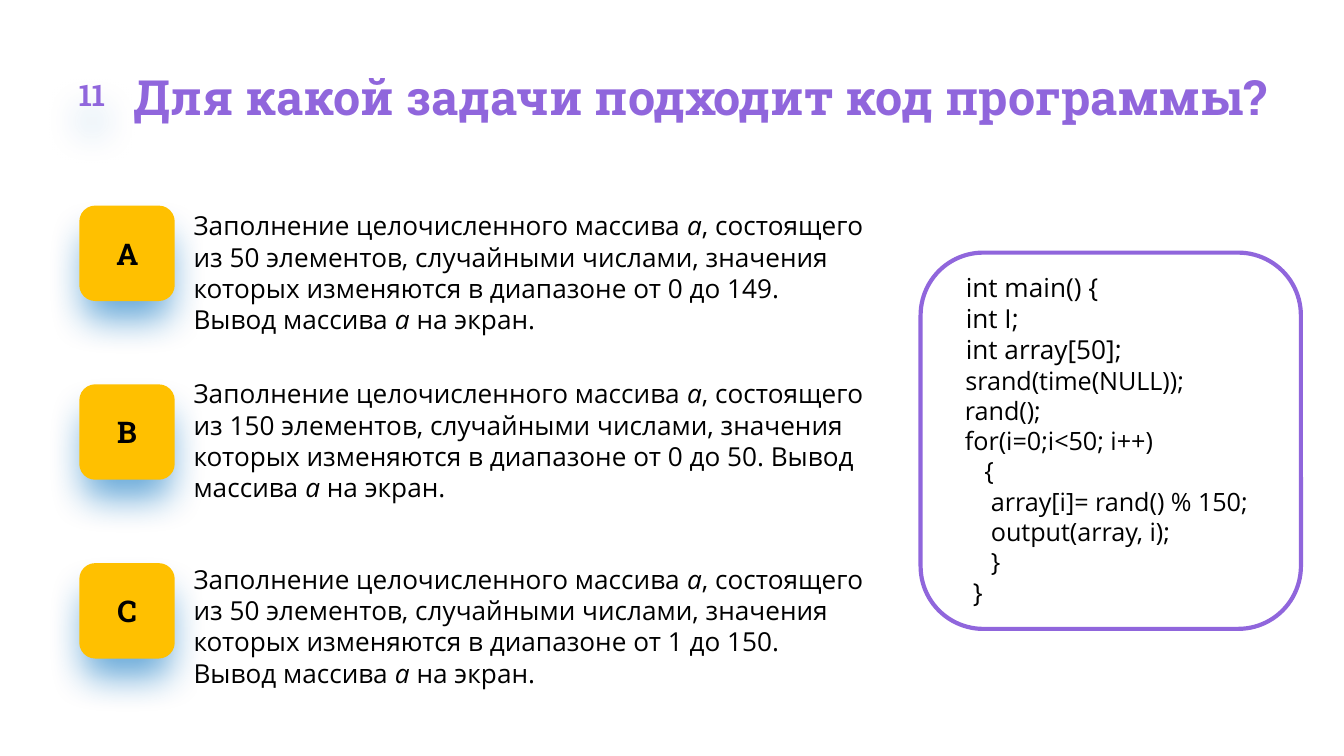
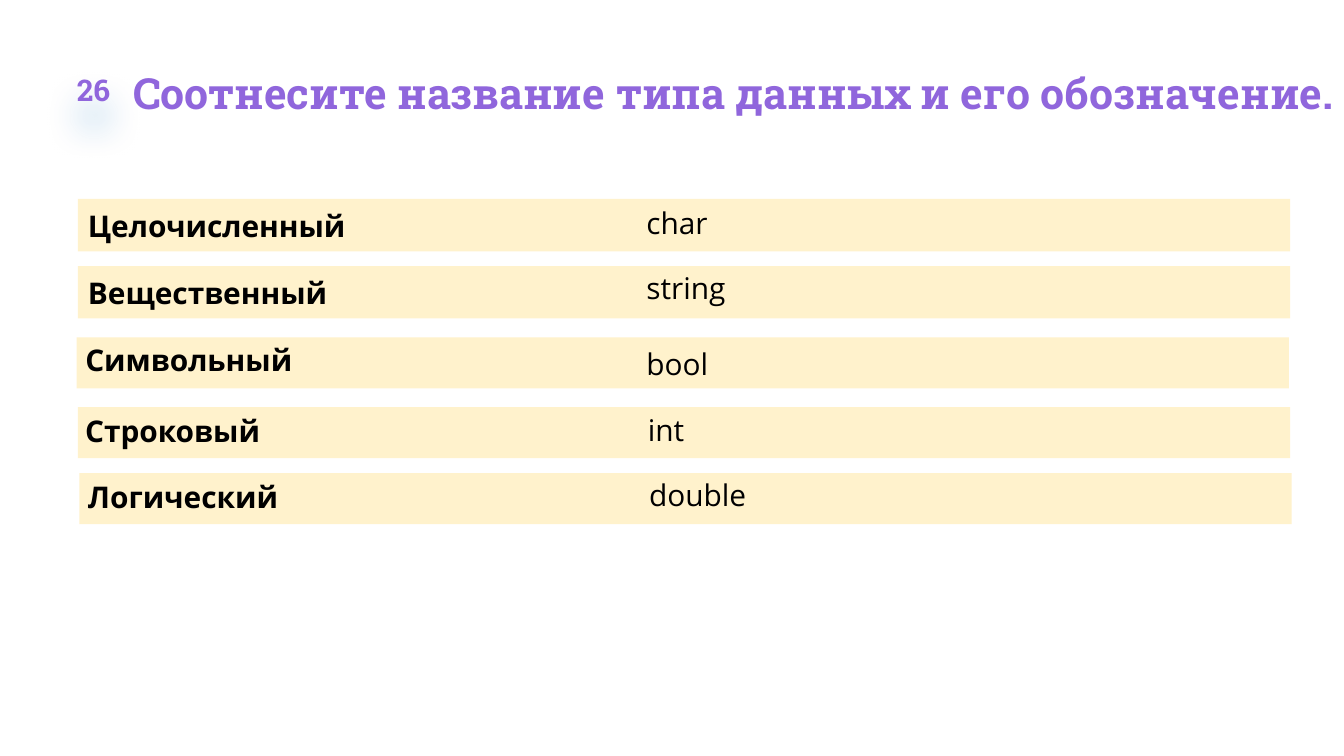
from lxml import etree
from pptx import Presentation
from pptx.dml.color import RGBColor
from pptx.enum.shapes import MSO_SHAPE as Shape
from pptx.enum.text import MSO_ANCHOR as Anchor, PP_ALIGN as Align
from pptx.oxml.ns import qn
from pptx.util import Inches, Pt

PURPLE, YELLOW, CREAM, BLACK = "9066DC", "FFC000", "FFF2CC", "000000"
SHADOW_BLUE = "0070C0"
HEADING_FONT, BODY_FONT = "Roboto Slab", "Open Sans"

ANSWERS = [
    # letter, badge top, text top, element count, range
    ("А", 1.53, 1.56, "50", "от 0 до 149"),
    ("B", 2.86, 2.81, "150", "от 0 до 50"),
    ("C", 4.19, 4.19, "50", "от 1 до 150"),
]

CODE_LINES = [
    # first-line indent, size, text
    (0.2, 14, "int main() {"),
    (0.2, 14, "int I;"),
    (0.2, 14, "int array[50];"),
    (0.1, 13.5, "  srand(time(NULL));"),
    (0, 13.5, "    rand();"),
    (0, 13.5, "    for(i=0;i<50; i++)"),
    (0, 13.5, "       {"),
    (0, 13.5, "        array[i]= rand() % 150;"),
    (0, 13.5, "        output(array, i);"),
    (0, 13.5, "        }"),
    (0, 14, "     }"),
]

TYPE_ROWS = [
    # bar (left, top, height), name (left, top, width, text), keyword (left, top, text)
    ((0.58, 1.48, 0.39), (0.64, 1.53, 3.39, "Целочисленный"), (4.67, 1.52, "char")),
    ((0.58, 1.98, 0.39), (0.64, 2.03, 3.39, "Вещественный"), (4.67, 2.01, "string")),
    ((0.57, 2.51, 0.38), (0.62, 2.53, 3.39, "Символьный"), (4.67, 2.57, "bool")),
    ((0.58, 3.03, 0.38), (0.62, 3.06, 2.66, "Строковый"), (4.68, 3.06, "int")),
    ((0.59, 3.52, 0.38), (0.64, 3.55, 2.66, "Логический"), (4.69, 3.55, "double")),
]


def color(value):
    return RGBColor.from_string(value)


def format_runs(paragraph, size, font=BODY_FONT, ink=BLACK, bold=False):
    for run in paragraph.runs:
        run.font.size = Pt(size)
        run.font.name = font
        run.font.color.rgb = color(ink)
        run.font.bold = bold


def prepare_frame(shape, left_inset=0, anchor=Anchor.TOP):
    frame = shape.text_frame
    frame.word_wrap = True
    frame.margin_left = Inches(left_inset)
    frame.margin_right = frame.margin_top = frame.margin_bottom = 0
    frame.vertical_anchor = anchor
    return frame


def add_box(slide, kind, left, top, width, height, fill=None, line=None):
    shape = slide.shapes.add_shape(
        kind, Inches(left), Inches(top), Inches(width), Inches(height))
    shape.shadow.inherit = False
    if fill:
        shape.fill.solid()
        shape.fill.fore_color.rgb = color(fill)
    else:
        shape.fill.background()
    if line:
        shape.line.color.rgb = color(line)
        shape.line.width = Pt(2.25)
    else:
        shape.line.fill.background()
    return shape


def add_text(slide, left, top, width, height, left_inset=0):
    """Add an empty text box and return its first paragraph."""
    box = slide.shapes.add_textbox(
        Inches(left), Inches(top), Inches(width), Inches(height))
    return prepare_frame(box, left_inset).paragraphs[0]


def add_glow(shape):
    """Give the shape a soft, slightly narrower blue shadow below it."""
    effects = shape._element.spPr.find(qn("a:effectLst"))
    shadow = etree.SubElement(
        effects, qn("a:outerShdw"), blurRad=str(Pt(20)), dist=str(Pt(15)),
        dir="5400000", sx="90000", sy="90000", algn="t", rotWithShape="0")
    tint = etree.SubElement(shadow, qn("a:srgbClr"), val=SHADOW_BLUE)
    etree.SubElement(tint, qn("a:alpha"), val="60000")


def add_badge(slide, text, left, top, size, ink, fill=None):
    badge = add_box(slide, Shape.ROUNDED_RECTANGLE, left, top, size, size, fill)
    add_glow(badge)
    paragraph = prepare_frame(badge, anchor=Anchor.MIDDLE).paragraphs[0]
    paragraph.text = text
    paragraph.alignment = Align.CENTER
    format_runs(paragraph, 16, HEADING_FONT, ink, bold=True)


def add_heading(slide, number, number_left, number_top, text, width, height, size):
    title = add_text(slide, 0.99, 0.47, width, height)
    title.text = text
    title.line_spacing = 1.06
    format_runs(title, size, HEADING_FONT, PURPLE, bold=True)
    add_badge(slide, number, number_left, number_top, 0.59, PURPLE)


def add_answer(slide, letter, badge_top, text_top, count, limits):
    paragraph = add_text(slide, 1.3, text_top, 5.15, 0.94, 0.14)
    parts = [
        "Заполнение целочисленного массива ", "а",
        f", состоящего из {count} элементов, случайными числами, значения "
        f"которых изменяются в диапазоне {limits}. Вывод массива ", "а",
        " на экран.",
    ]
    for part in parts:
        run = paragraph.add_run()
        run.text = part
        run.font.italic = part == "а"
    format_runs(paragraph, 14)
    add_badge(slide, letter, 0.59, badge_top, 0.71, BLACK, YELLOW)


def add_code(slide):
    box = add_box(slide, Shape.ROUNDED_RECTANGLE, 6.85, 1.88, 2.83, 2.8, line=PURPLE)
    frame = prepare_frame(box)
    frame.text = "\n".join(text for _, _, text in CODE_LINES)
    for paragraph, (indent, size, _) in zip(frame.paragraphs, CODE_LINES):
        paragraph.alignment = Align.LEFT
        paragraph._p.get_or_add_pPr().set("indent", str(Inches(indent)))
        format_runs(paragraph, size)


def add_type_row(slide, bar, name, keyword):
    left, top, height = bar
    add_box(slide, Shape.RECTANGLE, left, top, 9.02, height, CREAM)

    left, top, width, text = name
    label = add_box(slide, Shape.ROUNDED_RECTANGLE, left, top, width, 0.3)
    paragraph = prepare_frame(label).paragraphs[0]
    paragraph.text = text
    paragraph.alignment = Align.LEFT
    format_runs(paragraph, 16, bold=True)

    left, top, text = keyword
    paragraph = add_text(slide, left, top, 4.6, 0.27, 0.14)
    paragraph.text = text
    format_runs(paragraph, 16)


def main():
    presentation = Presentation()
    presentation.slide_width = Inches(10)
    presentation.slide_height = presentation.slide_width * 9 // 16
    blank = presentation.slide_layouts[6]

    slide = presentation.slides.add_slide(blank)
    add_heading(slide, "11", 0.39, 0.41,
                "Для какой задачи подходит код программы?", 8.87, 0.44, 26)
    for answer in ANSWERS:
        add_answer(slide, *answer)
    add_code(slide)

    slide = presentation.slides.add_slide(blank)
    add_heading(slide, "26", 0.4, 0.37,
                "Соотнесите название типа данных и его обозначение.", 9.01, 0.39, 23)
    for row in TYPE_ROWS:
        add_type_row(slide, *row)

    presentation.save("out.pptx")


if __name__ == "__main__":
    main()
